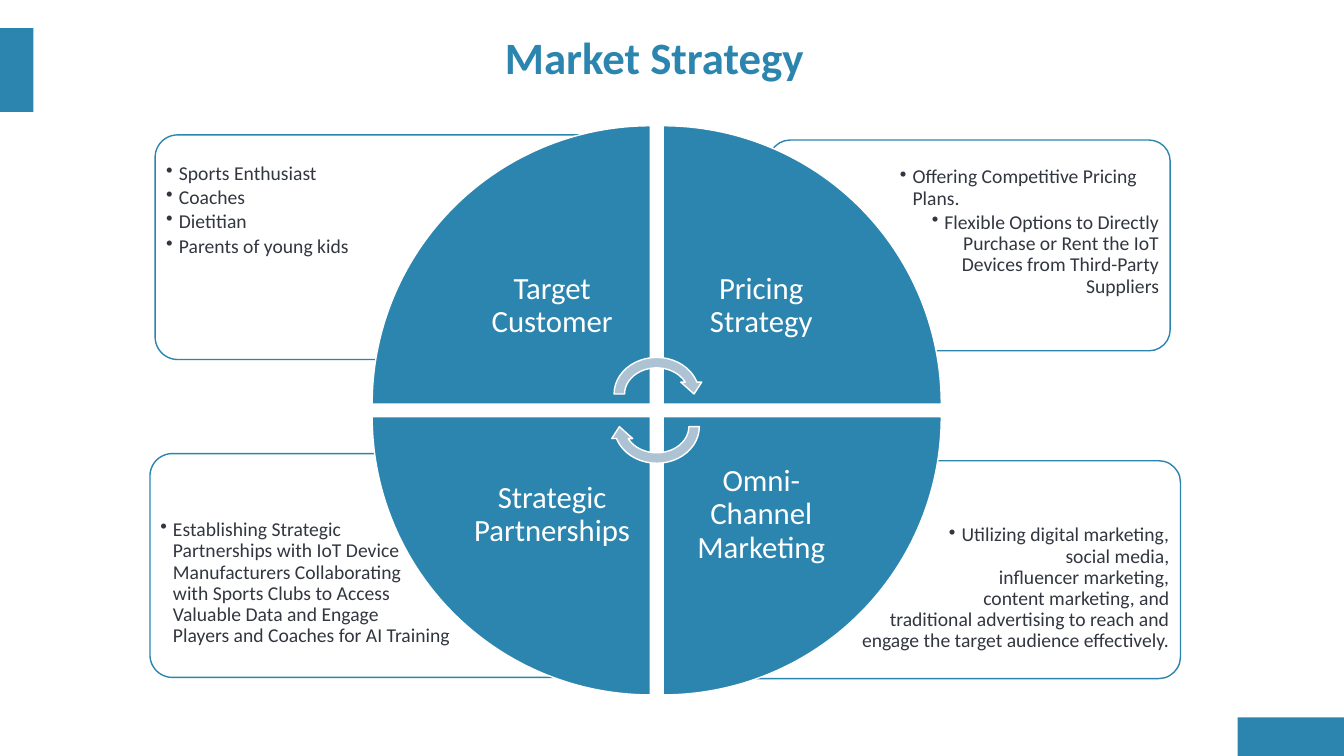
from copy import deepcopy
from dataclasses import dataclass
from typing import Any

from lxml.etree import SubElement
from pptx import Presentation
from pptx.dml.color import RGBColor as Rgb
from pptx.enum.shapes import MSO_SHAPE as Kind
from pptx.enum.text import MSO_ANCHOR as Anchor, PP_ALIGN as Align
from pptx.oxml.ns import qn
from pptx.util import Cm, Pt


@dataclass(frozen=True)
class Theme:
    blue: Rgb = Rgb(0x2C, 0x85, 0xAE)
    pale: Rgb = Rgb(0xAD, 0xC2, 0xD3)
    ink: Rgb = Rgb(0x32, 0x36, 0x3F)
    white: Rgb = Rgb(0xFF, 0xFF, 0xFF)
    font: str = "Calibri"
    title: int = 32
    label: int = 22
    body: int = 14


@dataclass(frozen=True)
class Box:
    """A place on the slide, in centimetres."""
    x: float
    y: float
    w: float
    h: float

    def args(self) -> tuple[Cm, ...]:
        return Cm(self.x), Cm(self.y), Cm(self.w), Cm(self.h)


@dataclass(frozen=True)
class Item:
    text: str
    align: Align = Align.LEFT


@dataclass(frozen=True)
class Card:
    frame: Box
    area: Box
    items: tuple[Item, ...]


@dataclass(frozen=True)
class Wedge:
    """A quarter of the disc; col and row are 0 or 1."""
    label: str
    col: int
    row: int
    turn: int


THEME = Theme()
MID_X, MID_Y = 16.55, 10.34
HALF_GAP, RADIUS, LABEL = 0.16, 7.01, 4.95
ARROW_W, ARROW_H, ARROW_OFF = 2.41, 2.11, 0.41

BARS = (Box(31.19, 18.08, 2.68, 0.97), Box(0, 0.71, 0.84, 2.11))

CARDS = (
    Card(Box(17.3, 11.61, 12.45, 5.49), Box(21.16, 13.08, 8.46, 3.89), (
        Item("Utilizing digital marketing,\nsocial media,\n"
             "influencer marketing,\ncontent marketing, and\n"
             "traditional advertising to reach and engage the target "
             "audience effectively.", Align.RIGHT),)),
    Card(Box(3.78, 11.43, 11.84, 5.64), Box(3.89, 12.95, 8.03, 3.99), (
        Item("Establishing Strategic\nPartnerships with IoT Device "
             "Manufacturers Collaborating\nwith Sports Clubs to Access\n"
             "Valuable Data and Engage\n"
             "Players and Coaches for AI Training"),)),
    Card(Box(19.38, 3.53, 10.11, 5.31), Box(22.53, 4.06, 6.83, 3.3), (
        Item("Offering Competitive Pricing Plans."),
        Item("Flexible Options to Directly Purchase or Rent the IoT "
             "Devices from Third-Party Suppliers", Align.RIGHT))),
    Card(Box(3.91, 3.4, 11.86, 5.66), Box(4.04, 3.96, 8.05, 3.56), (
        Item("Sports Enthusiast"), Item("Coaches"),
        Item("Dietitian"), Item("Parents of young kids"))),
)

WEDGES = (
    Wedge("Target Customer", 0, 0, 0),
    Wedge("Pricing Strategy", 1, 0, 90),
    Wedge("Omni-Channel Marketing", 1, 1, 180),
    Wedge("Strategic Partnerships", 0, 1, 270),
)


def apply(target: Any, values: dict[str, Any]) -> None:
    for name, value in values.items():
        setattr(target, name, value)


def look(size: int, color: Rgb, bold: bool = False) -> dict[str, Any]:
    return {"name": THEME.font, "size": Pt(size), "bold": bold,
            "color.rgb": color}


def write(para: Any, text: str, style: dict[str, Any]) -> None:
    """Fill a paragraph and give its runs and line breaks one style."""
    para.text = text
    plain = {k: v for k, v in style.items() if k != "color.rgb"}
    for run in para.runs:
        apply(run.font, plain)
        run.font.color.rgb = style["color.rgb"]
    for gap in para._p.findall(qn("a:br")):
        gap.append(deepcopy(para.runs[0]._r.rPr))


def add_bullet(para: Any) -> None:
    props = para._p.get_or_add_pPr()
    apply_ind = {"marL": Cm(0.32), "indent": Cm(-0.32)}
    for name, value in apply_ind.items():
        props.set(name, str(int(value)))
    SubElement(props, qn("a:buChar")).set("char", "•")


def add_form(slide: Any, kind: Kind, box: Box, fill: Rgb,
             line: Rgb | None = None, turn: int = 0) -> Any:
    form = slide.shapes.add_shape(kind, *box.args())
    form.shadow.inherit = False
    form.rotation = turn
    form.fill.solid()
    form.fill.fore_color.rgb = fill
    if line is None:
        form.line.fill.background()
    else:
        form.line.color.rgb = line
        form.line.width = Pt(1)
    return form


def add_area(slide: Any, box: Box, inset: float, anchor: Anchor) -> Any:
    frame = slide.shapes.add_textbox(*box.args()).text_frame
    sides = ("left", "top", "right", "bottom")
    apply(frame, {f"margin_{side}": Cm(inset) for side in sides})
    apply(frame, {"word_wrap": True, "vertical_anchor": anchor})
    return frame


def add_card(slide: Any, card: Card) -> None:
    form = add_form(slide, Kind.ROUNDED_RECTANGLE, card.frame,
                    THEME.white, THEME.blue)
    form.adjustments[0] = 0.1
    tint = form._element.spPr.find(qn("a:solidFill"))[0]
    SubElement(tint, qn("a:alpha")).set("val", "90000")
    frame = add_area(slide, card.area, 0.15, Anchor.TOP)
    for i, item in enumerate(card.items):
        para = frame.add_paragraph() if i else frame.paragraphs[0]
        add_bullet(para)
        apply(para, {"alignment": item.align, "line_spacing": 0.9,
                     "space_after": Pt(2.3)})
        write(para, item.text, look(THEME.body, THEME.ink))


def place(col: int, row: int, size: float) -> Box:
    """A square whose corner lies next to the middle of the disc."""
    x, y = (mid + (HALF_GAP if side else -HALF_GAP - size)
            for mid, side in ((MID_X, col), (MID_Y, row)))
    return Box(x, y, size, size)


def add_wedge(slide: Any, wedge: Wedge) -> None:
    add_form(slide, Kind.PIE_WEDGE, place(wedge.col, wedge.row, RADIUS),
             THEME.blue, THEME.white, wedge.turn)
    area = place(wedge.col, wedge.row, LABEL)
    para = add_area(slide, area, 0.43, Anchor.MIDDLE).paragraphs[0]
    apply(para, {"alignment": Align.CENTER, "line_spacing": 0.9})
    write(para, wedge.label, look(THEME.label, THEME.white))


def set_title(slide: Any, text: str, box: Box) -> None:
    title = slide.shapes.title
    apply(title, dict(zip(("left", "top", "width", "height"), box.args())))
    frame = title.text_frame
    apply(frame, {"word_wrap": False, "vertical_anchor": Anchor.TOP})
    para = frame.paragraphs[0]
    para.alignment = Align.LEFT
    write(para, text, look(THEME.title, THEME.blue, True))


def main() -> None:
    deck = Presentation()
    apply(deck, {"slide_width": Cm(33.87), "slide_height": Cm(19.05)})
    slide = deck.slides.add_slide(deck.slide_layouts[5])
    set_title(slide, "Market Strategy", Box(12.47, 0.61, 8.1, 1.63))
    for bar in BARS:
        add_form(slide, Kind.RECTANGLE, bar, THEME.blue)
    for card in CARDS:
        add_card(slide, card)
    for wedge in WEDGES:
        add_wedge(slide, wedge)
    for sign, turn in ((-1, 0), (1, 180)):
        box = Box(MID_X - ARROW_W / 2,
                  MID_Y + sign * ARROW_OFF - ARROW_H / 2, ARROW_W, ARROW_H)
        add_form(slide, Kind.CIRCULAR_ARROW, box, THEME.pale,
                 THEME.white, turn)
    deck.save("out.pptx")


if __name__ == "__main__":
    main()
